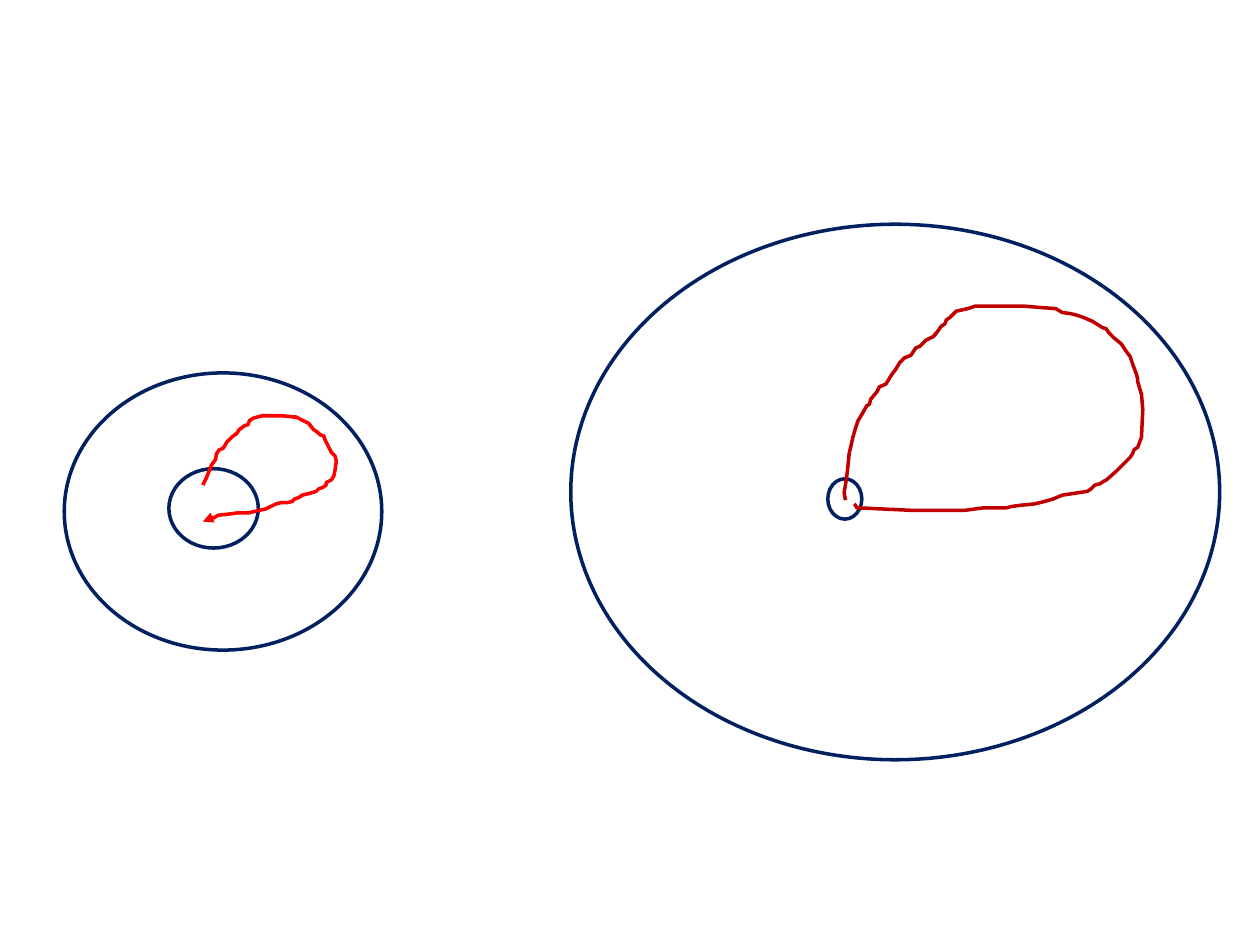
"""Draw two ringed cells, each with a hand-drawn loop leaving its core."""
from dataclasses import dataclass

from lxml import etree
from pptx import Presentation
from pptx.dml.color import RGBColor
from pptx.enum import shapes as kinds
from pptx.oxml import ns
from pptx.util import Inches, Pt

NAVY = RGBColor(0x00, 0x20, 0x60)
RED = RGBColor(0xFF, 0x00, 0x00)
DARK = RGBColor(0xC0, 0x00, 0x00)
UNIT = Inches(0.01)


@dataclass
class Ring:
    left: float
    top: float
    width: float
    height: float


@dataclass
class Loop:
    color: RGBColor
    points: list[tuple[int, int]]
    arrow: bool = False


@dataclass
class Cell:
    outer: Ring
    core: Ring
    loop: Loop


SMALL = Cell(
    Ring(0.51, 2.96, 2.52, 2.2),
    Ring(1.34, 3.72, 0.71, 0.63),
    Loop(RED, [
        (161, 385), (164, 379), (166, 374), (168, 369), (171, 365), (172, 360),
        (174, 357), (177, 356), (179, 353), (180, 351), (184, 347), (188, 344),
        (190, 341), (194, 338), (197, 337), (198, 334), (201, 332), (208, 330),
        (215, 330), (224, 330), (233, 331), (235, 331), (239, 333), (245, 336),
        (249, 341), (252, 343), (254, 345), (257, 346), (258, 349), (260, 353),
        (262, 357), (263, 359), (266, 362), (267, 366), (266, 373), (265, 378),
        (263, 381), (259, 383), (259, 385), (256, 387), (253, 388), (251, 390),
        (248, 391), (244, 392), (240, 393), (237, 395), (234, 396), (232, 398),
        (228, 399), (223, 399), (219, 400), (211, 404), (206, 405), (198, 407),
        (189, 407), (182, 408), (173, 409), (170, 411), (166, 411), (164, 413),
        (161, 414),
    ], arrow=True),
)

LARGE = Cell(
    Ring(4.53, 1.78, 5.15, 4.25),
    Ring(6.57, 3.8, 0.27, 0.32),
    Loop(DARK, [
        (671, 397), (670, 391), (672, 379), (673, 370), (674, 360), (677, 347),
        (679, 340), (681, 334), (684, 329), (688, 322), (690, 321), (691, 317),
        (696, 311), (698, 307), (703, 305), (708, 297), (711, 293), (714, 288),
        (718, 284), (723, 282), (727, 276), (730, 275), (733, 272), (735, 270),
        (737, 269), (741, 267), (745, 262), (747, 259), (750, 257), (751, 254),
        (754, 252), (759, 247), (768, 245), (774, 243), (795, 243), (813, 243),
        (825, 244), (838, 245), (843, 248), (850, 249), (854, 250), (860, 252),
        (867, 255), (875, 260), (878, 261), (880, 264), (884, 268), (890, 273),
        (892, 276), (894, 279), (897, 283), (899, 289), (902, 297), (903, 301),
        (903, 303), (906, 313), (907, 325), (906, 347), (903, 355), (900, 357),
        (899, 360), (897, 363), (894, 366), (886, 374), (878, 381), (876, 382),
        (873, 384), (869, 385), (866, 388), (863, 390), (843, 393), (836, 396),
        (829, 398), (821, 400), (810, 401), (803, 402), (799, 403), (781, 403),
        (766, 405), (723, 405), (680, 403), (679, 401), (678, 400),
    ]),
)


def outline(shape, color: RGBColor) -> None:
    """Leave only a two-point line on the shape."""
    shape.shadow.inherit = False
    shape.fill.background()
    shape.line.color.rgb = color
    shape.line.width = Pt(2)


def draw_ring(slide, ring: Ring) -> None:
    """Add an unfilled navy ellipse."""
    box = map(Inches, (ring.left, ring.top, ring.width, ring.height))
    oval = slide.shapes.add_shape(kinds.MSO_SHAPE.OVAL, *box)
    outline(oval, NAVY)


def draw_loop(slide, loop: Loop) -> None:
    """Add an open path through points given in hundredths of an inch."""
    first, *rest = loop.points
    pen = slide.shapes.build_freeform(*first, scale=UNIT)
    pen.add_line_segments(rest, close=False)
    curve = pen.convert_to_shape()
    outline(curve, loop.color)
    if loop.arrow:
        line = curve.line._get_or_add_ln()
        etree.SubElement(line, ns.qn("a:round"))
        etree.SubElement(line, ns.qn("a:tailEnd"), type="triangle")


def main() -> None:
    """Build and save the slide."""
    deck = Presentation()
    deck.slide_width, deck.slide_height = Inches(10), Inches(7.5)
    slide = deck.slides.add_slide(deck.slide_layouts[6])
    for cell in (SMALL, LARGE):
        draw_ring(slide, cell.outer)
        draw_ring(slide, cell.core)
        draw_loop(slide, cell.loop)
    deck.save("out.pptx")


if __name__ == "__main__":
    main()
